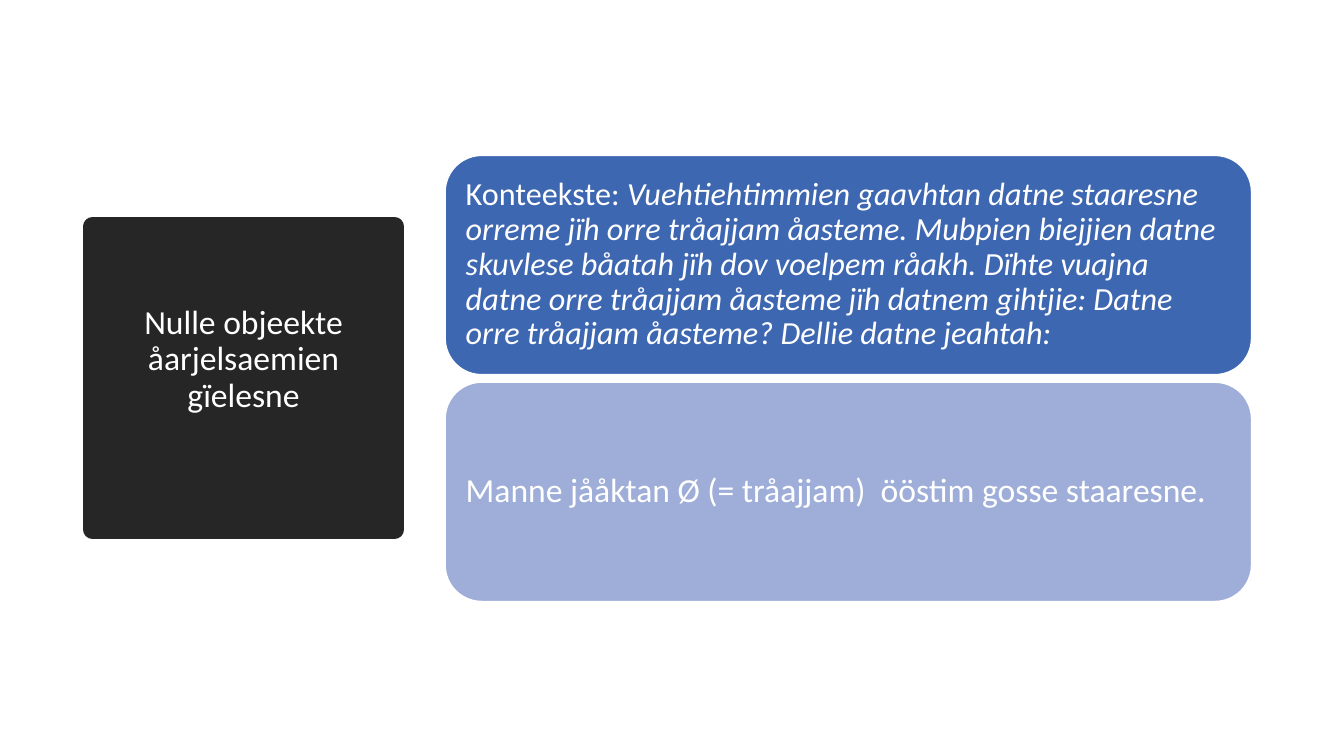
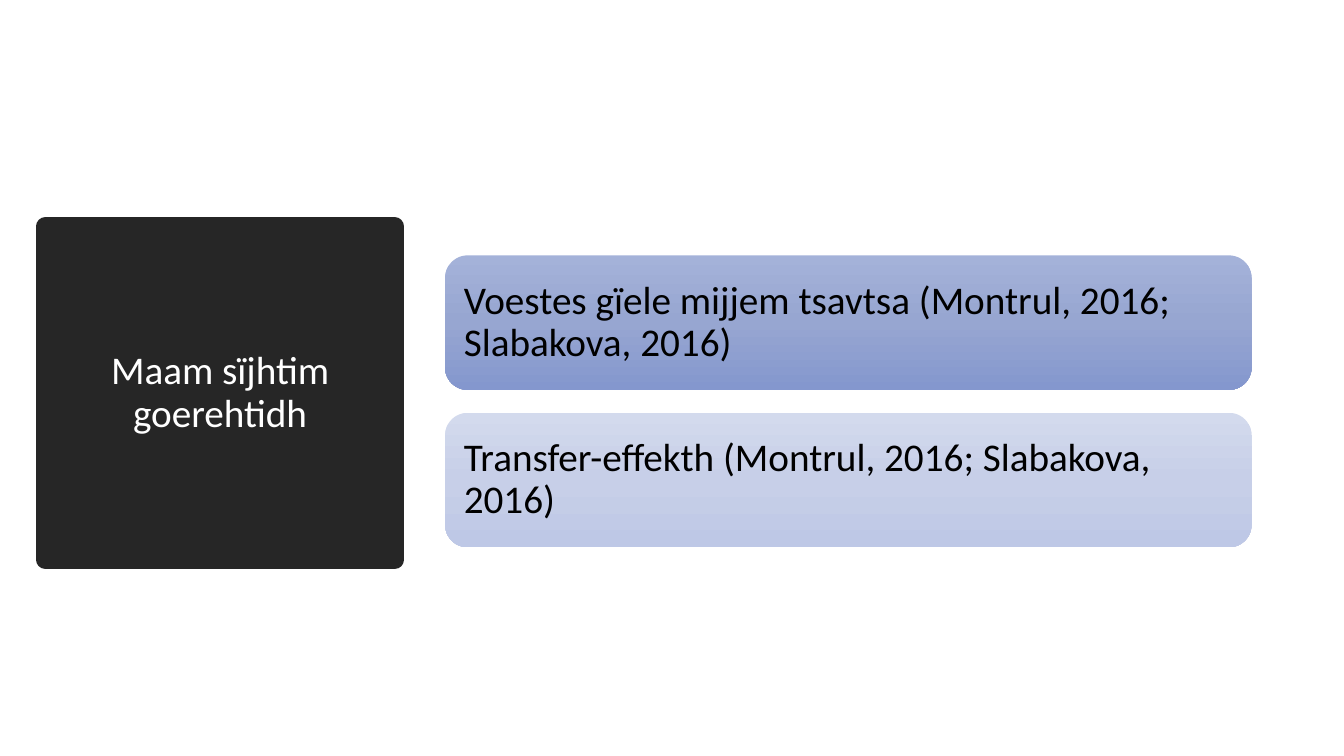
"""Build two slides that pair a dark title block with a stack of rounded cards."""
from copy import deepcopy
from dataclasses import dataclass

from pptx import Presentation
from pptx.dml.color import RGBColor
from pptx.enum.shapes import MSO_SHAPE
from pptx.enum.text import MSO_ANCHOR, MSO_AUTO_SIZE, PP_ALIGN
from pptx.oxml.ns import qn
from pptx.util import Inches, Pt

ROUND = MSO_SHAPE.ROUNDED_RECTANGLE
MIDDLE = MSO_ANCHOR.MIDDLE
FIXED = MSO_AUTO_SIZE.NONE
LEFT, CENTER = PP_ALIGN.LEFT, PP_ALIGN.CENTER

FONT = "Calibri"
COLS, ROWS = 160, 90
CELL = Inches(7.5) / ROWS
CARD_COL, CARD_COLS = 53, 96
COLORS = {
    "dark": "262626", "white": "FFFFFF", "black": "000000",
    "blue": "3E67B2", "pale": "9FAED8",
    "mid_top": "A4B2D9", "mid": "97A6D1", "mid_end": "8497CE",
    "soft_top": "D3DAED", "soft": "C7CFE8", "soft_end": "BEC8E6",
}


@dataclass(frozen=True)
class Run:
    text: str
    italic: bool = False


@dataclass(frozen=True)
class Card:
    runs: tuple[Run, ...]
    size: int
    fill: tuple[str, ...]


@dataclass(frozen=True)
class Page:
    title: str
    size: int
    box: tuple[float, float, float, float]
    foot: float
    cards: tuple[Card, ...]
    top: float
    high: float
    step: float
    ink: str
    inset: float
    edge: str | None = None


PAGES = (
    Page(
        "Nulle objeekte åarjelsaemien gïelesne", 24, (11, 27, 36, 36), 0.41,
        (
            Card((
                Run("Konteekste: "),
                Run("Vuehtiehtimmien gaavhtan datne staaresne orreme jïh orre "
                    "tråajjam åasteme. Mubpien biejjien datne skuvlese båatah "
                    "jïh dov voelpem råakh. Dïhte vuajna datne orre tråajjam "
                    "åasteme jïh datnem gihtjie: Datne orre tråajjam åasteme? "
                    "Dellie datne jeahtah:", True),
            ), 23, ("blue",)),
            Card((Run("Manne jååktan Ø (= tråajjam)  ööstim gosse staaresne."),),
                 24, ("pale",)),
        ),
        top=18.5, high=26.1, step=27, ink="white", inset=0.1, edge="white",
    ),
    Page(
        "Maam sïjhtim goerehtidh", 28, (5.4, 27, 41.6, 39.6), 0.05,
        (
            Card((Run("Voestes gïele mijjem tsavtsa (Montrul, 2016; Slabakova, 2016)"),),
                 28, ("mid_top", "mid", "mid_end")),
            Card((Run("Transfer-effekth (Montrul, 2016; Slabakova, 2016)"),),
                 28, ("soft_top", "soft", "soft_end")),
        ),
        top=30.4, high=16, step=18.75, ink="black", inset=0.12,
    ),
)


def grid(*cells: float) -> list[int]:
    return [round(cell * CELL) for cell in cells]


def color(name: str) -> RGBColor:
    return RGBColor.from_string(COLORS[name])


def write(shape, runs: tuple[Run, ...], *, size: int, ink: str,
          align=LEFT, inset: float = 0.1, foot: float = 0.05) -> None:
    frame = shape.text_frame
    frame.word_wrap = True
    frame.auto_size = FIXED
    frame.vertical_anchor = MIDDLE
    frame.margin_left = frame.margin_right = Inches(inset)
    frame.margin_top = Inches(0.05)
    frame.margin_bottom = Inches(foot)
    para = frame.paragraphs[0]
    para.alignment = align
    para.line_spacing = 0.9
    for item in runs:
        run = para.add_run()
        run.text = item.text
        font = run.font
        font.name, font.size, font.italic = FONT, Pt(size), item.italic
        font.color.rgb = color(ink)


def paint(shape, names: tuple[str, ...]) -> None:
    fill = shape.fill
    if len(names) == 1:
        fill.solid()
        fill.fore_color.rgb = color(names[0])
        return
    fill.gradient()
    fill.gradient_angle = 270
    first = next(shape._element.spPr.iter(qn("a:gs")))
    for _ in names[2:]:
        first.addnext(deepcopy(first))
    for rank, (stop, name) in enumerate(zip(fill.gradient_stops, names)):
        stop.position = rank / (len(names) - 1)
        stop.color.rgb = color(name)


def outline(shape, name: str | None, width: float) -> None:
    if name is None:
        shape.line.fill.background()
        return
    shape.line.color.rgb = color(name)
    shape.line.width = Pt(width)


def head(slide, page: Page) -> None:
    title = slide.shapes.title
    title.left, title.top, title.width, title.height = grid(*page.box)
    paint(title, ("dark",))
    outline(title, "dark", 13.75)
    write(title, (Run(page.title),), size=page.size, ink="white",
          align=CENTER, foot=page.foot)


def stack(slide, page: Page) -> None:
    for rank, card in enumerate(page.cards):
        top = page.top + rank * page.step
        shape = slide.shapes.add_shape(
            ROUND, *grid(CARD_COL, top, CARD_COLS, page.high))
        shape.shadow.inherit = False
        paint(shape, card.fill)
        outline(shape, page.edge, 1)
        write(shape, card.runs, size=card.size, ink=page.ink, inset=page.inset)


def main() -> None:
    deck = Presentation()
    deck.slide_width, deck.slide_height = grid(COLS, ROWS)
    for page in PAGES:
        slide = deck.slides.add_slide(deck.slide_layouts[5])
        head(slide, page)
        stack(slide, page)
    deck.save("out.pptx")


if __name__ == "__main__":
    main()
